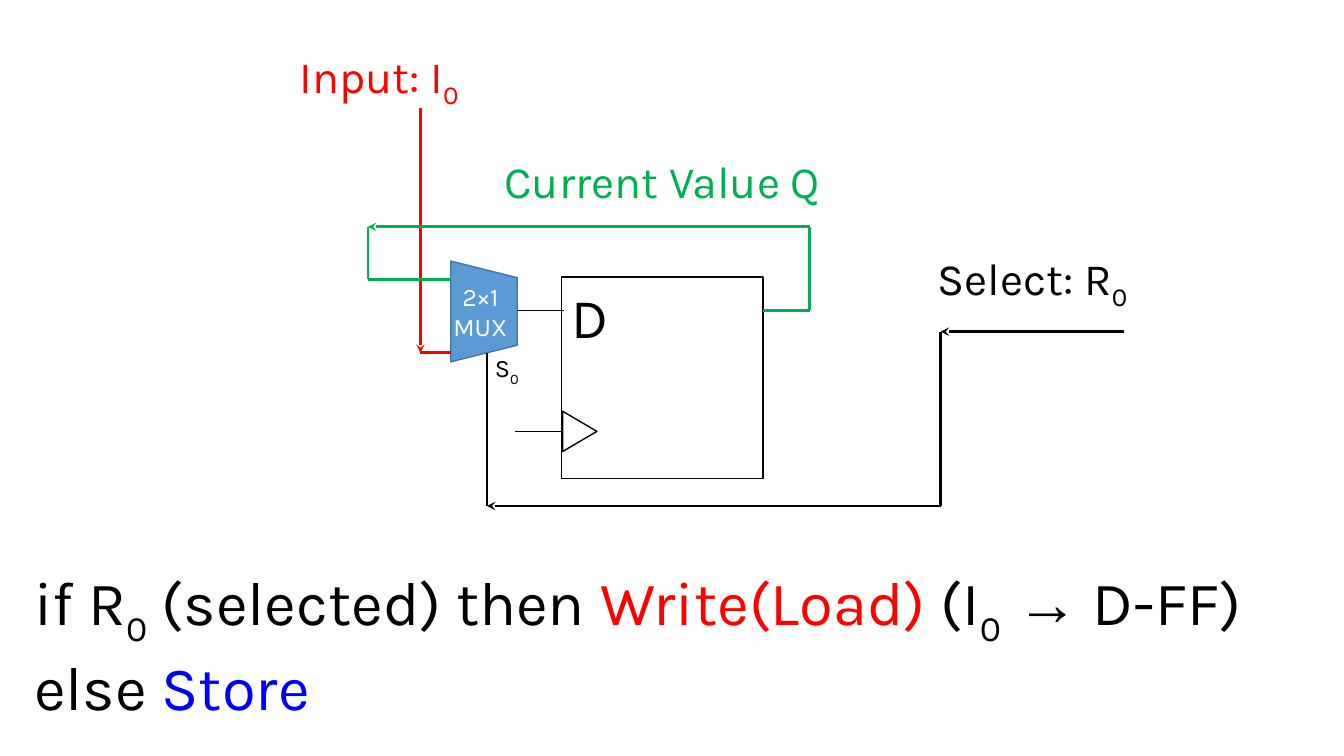
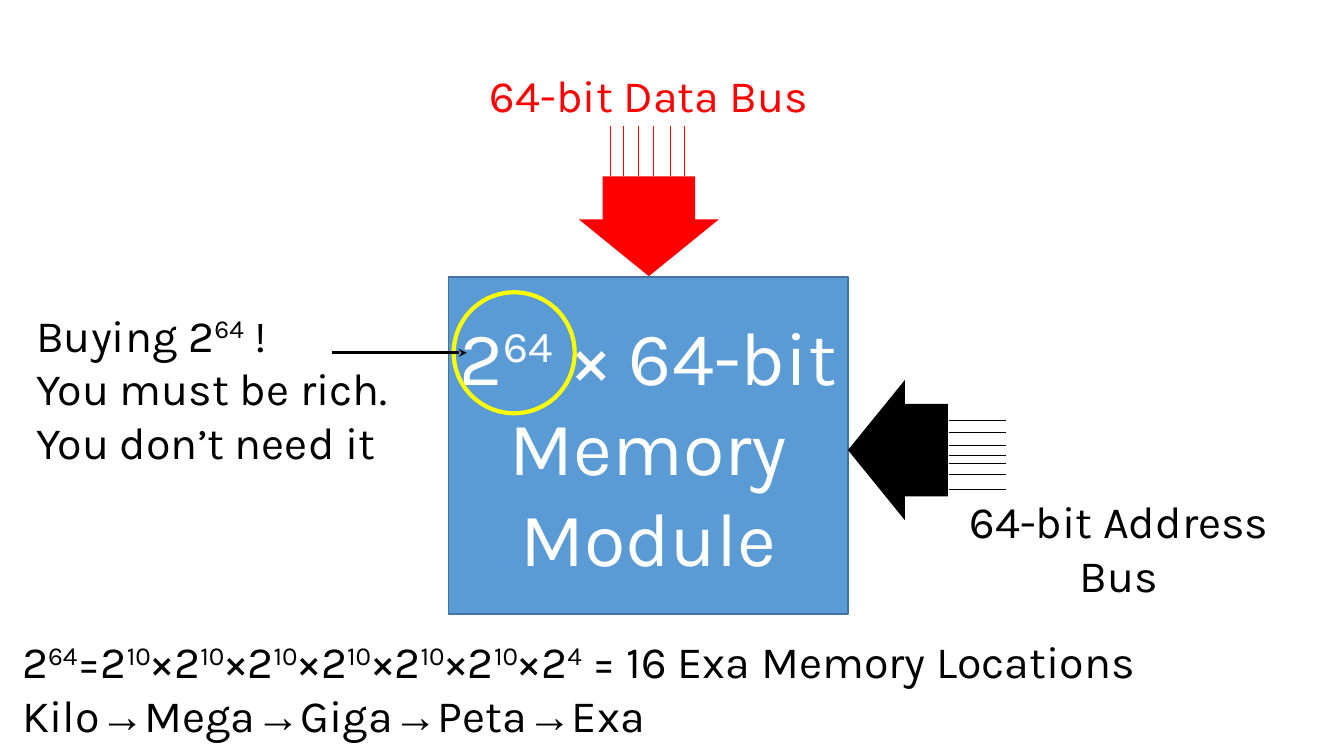
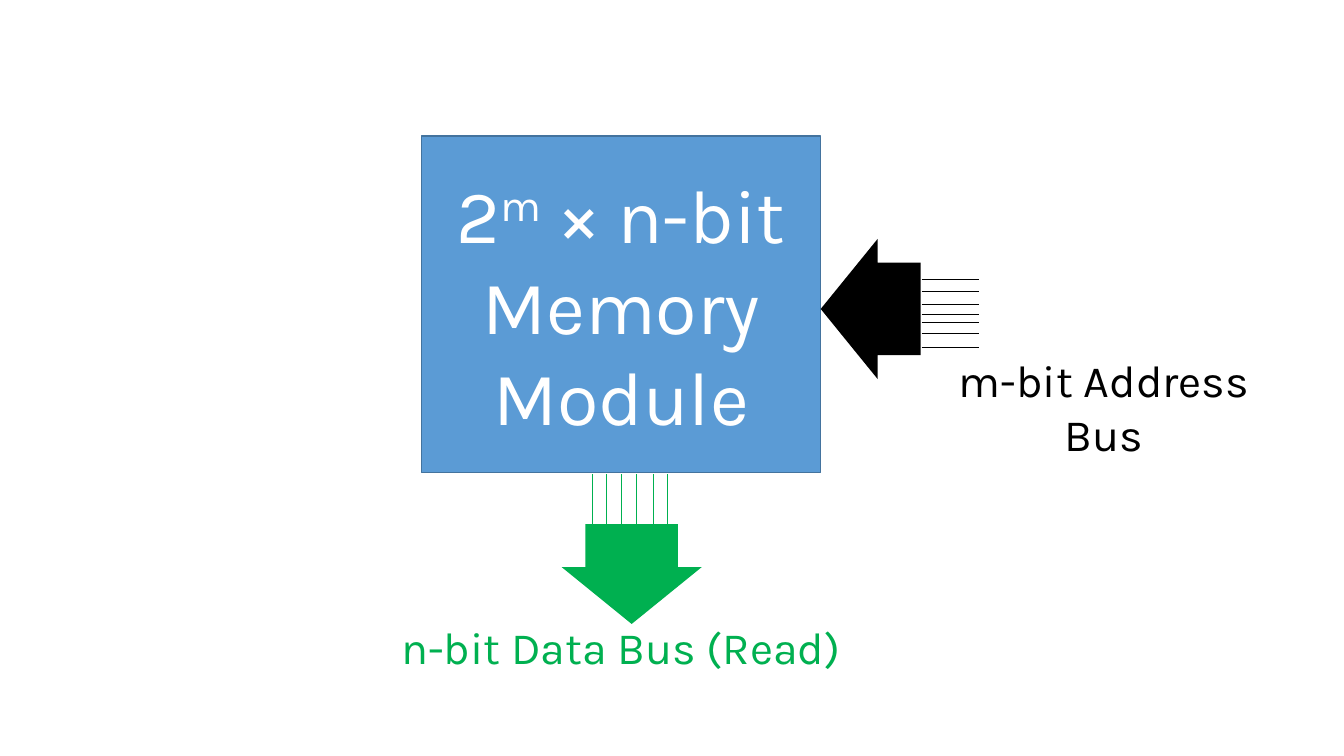
from itertools import pairwise

from lxml import etree
from pptx import Presentation
from pptx.dml.color import RGBColor
from pptx.enum.shapes import MSO_CONNECTOR, MSO_SHAPE
from pptx.enum.text import MSO_ANCHOR, MSO_AUTO_SIZE, PP_ALIGN
from pptx.oxml.ns import qn
from pptx.util import Pt

# Shared values: 100 px to the inch
PX = 9144
FONT = "Karla"
BLACK = RGBColor(0x00, 0x00, 0x00)
WHITE = RGBColor(0xFF, 0xFF, 0xFF)
RED = RGBColor(0xFF, 0x00, 0x00)
GREEN = RGBColor(0x00, 0xB0, 0x50)
BLUE = RGBColor(0x00, 0x00, 0xFF)
YELLOW = RGBColor(0xFF, 0xFF, 0x00)
STEEL = RGBColor(0x5B, 0x9B, 0xD5)
STEEL_EDGE = RGBColor(0x43, 0x73, 0x9E)
LEFT, CENTER = PP_ALIGN.LEFT, PP_ALIGN.CENTER
TOP, MIDDLE = MSO_ANCHOR.TOP, MSO_ANCHOR.MIDDLE
GROW = MSO_AUTO_SIZE.SHAPE_TO_FIT_TEXT
STRAIGHT = MSO_CONNECTOR.STRAIGHT
RECTANGLE, OVAL = MSO_SHAPE.RECTANGLE, MSO_SHAPE.OVAL
TRIANGLE, TRAPEZOID = MSO_SHAPE.ISOSCELES_TRIANGLE, MSO_SHAPE.TRAPEZOID
DOWN_ARROW = MSO_SHAPE.DOWN_ARROW

# Run formats and repeated runs
SUB = {"baseline": -25000}
SUPER = {"baseline": 30000}
ZERO = ("0", SUB)
TO = ("→", {"name": "Times New Roman"})


def place(page, kind, frame, paragraphs=(), fill=None, line=None, weight=1,
          size=32, color=BLACK, align=CENTER, anchor=TOP):
    """Add a shape, or a growing text box when kind is None."""
    left, top, width, height = [value * PX for value in frame]
    if kind is None:
        box = page.shapes.add_textbox(left, top, width, height)
        box.text_frame.auto_size = GROW
    else:
        box = page.shapes.add_shape(kind, left, top, width, height)
        box.shadow.inherit = False
        for part, part_color in ((box.fill, fill), (box.line.fill, line)):
            if part_color is None:
                part.background()
            else:
                part.solid()
                part.fore_color.rgb = part_color
        if line is not None:
            box.line.width = Pt(weight)
    text = box.text_frame
    text.word_wrap = True
    text.vertical_anchor = anchor
    for index, runs in enumerate(paragraphs):
        para = text.add_paragraph() if index else text.paragraphs[0]
        para.alignment = align
        for run in runs:
            words, changes = run if isinstance(run, tuple) else (run, {})
            span = para.add_run()
            span.text = words
            look = {"name": FONT, "size": Pt(size), "color": color, **changes}
            span.font.color.rgb = look.pop("color")
            if "baseline" in look:
                properties = span._r.get_or_add_rPr()
                properties.set("baseline", str(look.pop("baseline")))
            for key, value in look.items():
                setattr(span.font, key, value)
    return box


def draw_line(page, start, end, color, weight, arrow=False):
    """Draw a straight line, with an arrowhead at its end on request."""
    link = page.shapes.add_connector(
        STRAIGHT, *[value * PX for value in (*start, *end)])
    link.line.color.rgb = color
    link.line.width = Pt(weight)
    if arrow:
        head = etree.SubElement(link.line._get_or_add_ln(), qn("a:tailEnd"))
        head.set("type", "stealth")
    etree.SubElement(link.element.spPr, qn("a:effectLst"))


deck = Presentation()
deck.slide_width, deck.slide_height = 1333 * PX, 750 * PX
blank = deck.slide_layouts[6]

# Slide 1: one-bit memory cell
page = deck.slides.add_slide(blank)
place(page, RECTANGLE, (557, 275, 200, 200), [["D"]], fill=WHITE, line=BLACK,
      size=40, align=LEFT)
clock = place(page, TRIANGLE, (555, 411, 40, 34), line=BLACK)
clock.rotation = 90
draw_line(page, (511, 428), (557, 428), BLACK, 0.5)
draw_line(page, (513, 308), (559, 308), BLACK, 0.5)

mux = place(page, TRAPEZOID, (430, 276, 100, 66), [["2×1"], ["MUX"]],
            fill=STEEL, line=STEEL_EDGE, size=18, color=WHITE, anchor=MIDDLE)
mux.rotation = 90
mux.element.txBody.bodyPr.set("vert", "vert270")
for side in ("left", "top", "right", "bottom"):
    setattr(mux.text_frame, "margin_" + side, 0)

# Signal paths: colour, corner points, segments that end in an arrowhead
signals = [
    (RED, [(417, 107), (417, 350), (447, 350)], {0}),
    (GREEN, [(757, 308), (803, 308), (803, 225), (365, 225), (365, 277),
             (447, 277)], {2}),
    (BLACK, [(1115, 329), (933, 329), (933, 502), (483, 502), (483, 350)],
     {0, 2}),
]
for color, points, arrows in signals:
    for index, (start, end) in enumerate(pairwise(points)):
        draw_line(page, start, end, color, 2, index in arrows)

# Signal labels
for left, top, runs, color in [
    (177, 43, ["Input: I", ZERO], RED),
    (825, 244, ["Select: R", ZERO], BLACK),
    (458, 148, ["Current Value Q"], GREEN),
]:
    place(page, None, (left, top, 398, 64), [runs], color=color)
place(page, None, (481, 345, 72, 40), [["S", ZERO]], size=18, align=LEFT)

# Rule of the cell
place(page, None, (24, 555, 1333, 158), [
    ["if R", ZERO, " (selected) then ", ("Write(Load)", {"color": RED}),
     " (I", ZERO, (" →", TO[1]), " D-FF)"],
    ["else ", ("Store", {"color": BLUE})],
], size=44, align=LEFT)

# Slides 2 and 3: memory module with its address and data buses
ADDRESS_WIRES = (142, 154, 167, 177, 185, 196, 210)
DATA_WIRES = (31, 44, 59, 74, 91, 105)
modules = [
    {"corner": (445, 275), "power": "64", "width": "64",
     "address_label": (918, 485, 384, 64),
     "data": (574, 125), "data_color": RED,
     "data_text": "64-bit Data Bus", "data_label": (445, 62, 398, 64)},
    {"corner": (418, 135), "power": "m", "width": "n",
     "address_label": (914, 345, 362, 64),
     "data": (557, 470), "data_color": GREEN,
     "data_text": "n-bit Data Bus (Read)", "data_label": (379, 610, 474, 64)},
]
pages = []
for module in modules:
    page = deck.slides.add_slide(blank)
    pages.append(page)
    left, top = module["corner"]
    place(page, RECTANGLE, (left, top, 396, 334), [
        ["2", (module["power"], SUPER), f" × {module['width']}-bit"],
        ["Memory"], ["Module"],
    ], fill=STEEL, line=STEEL_EDGE, size=54, color=WHITE, anchor=MIDDLE)

    # Bus arrows
    data_left, data_top = module["data"]
    data_color = module["data_color"]
    for arrow_left, arrow_top, color, turn in [
        (left + 376, top + 122, BLACK, 90),
        (data_left, data_top + 50, data_color, 0),
    ]:
        arrow = place(page, DOWN_ARROW, (arrow_left, arrow_top, 139, 99),
                      fill=color)
        arrow.adjustments[0], arrow.adjustments[1] = 0.66, 0.57
        arrow.rotation = turn

    # Bus wires
    for offset in ADDRESS_WIRES:
        draw_line(page, (left + 496, top + offset), (left + 553, top + offset),
                  BLACK, 0.5)
    for offset in DATA_WIRES:
        x = data_left + offset
        draw_line(page, (x, data_top), (x, data_top + 50), data_color, 0.5)

    # Bus labels
    place(page, None, module["address_label"],
          [[f"{module['power']}-bit Address Bus"]])
    place(page, None, module["data_label"], [[module["data_text"]]],
          color=data_color)

# Slide 2: remark and size of the address space
page = pages[0]
place(page, OVAL, (450, 290, 120, 120), line=YELLOW, weight=3)
draw_line(page, (329, 350), (463, 350), BLACK, 2, True)
place(page, None, (26, 300, 410, 172), [
    ["Buying 2", ("64", SUPER), " !"],
    ["You must be rich."],
    ["You don’t need it"],
], align=LEFT)
place(page, None, (12, 624, 1218, 118), [
    ["2", ("64", SUPER), "=2", *[("10", SUPER), "×2"] * 6, ("4", SUPER),
     " = 16 Exa Memory Locations"],
    ["Kilo", TO, "Mega", TO, "Giga", TO, "Peta", TO, "Exa"],
], align=LEFT)

deck.save("out.pptx")
